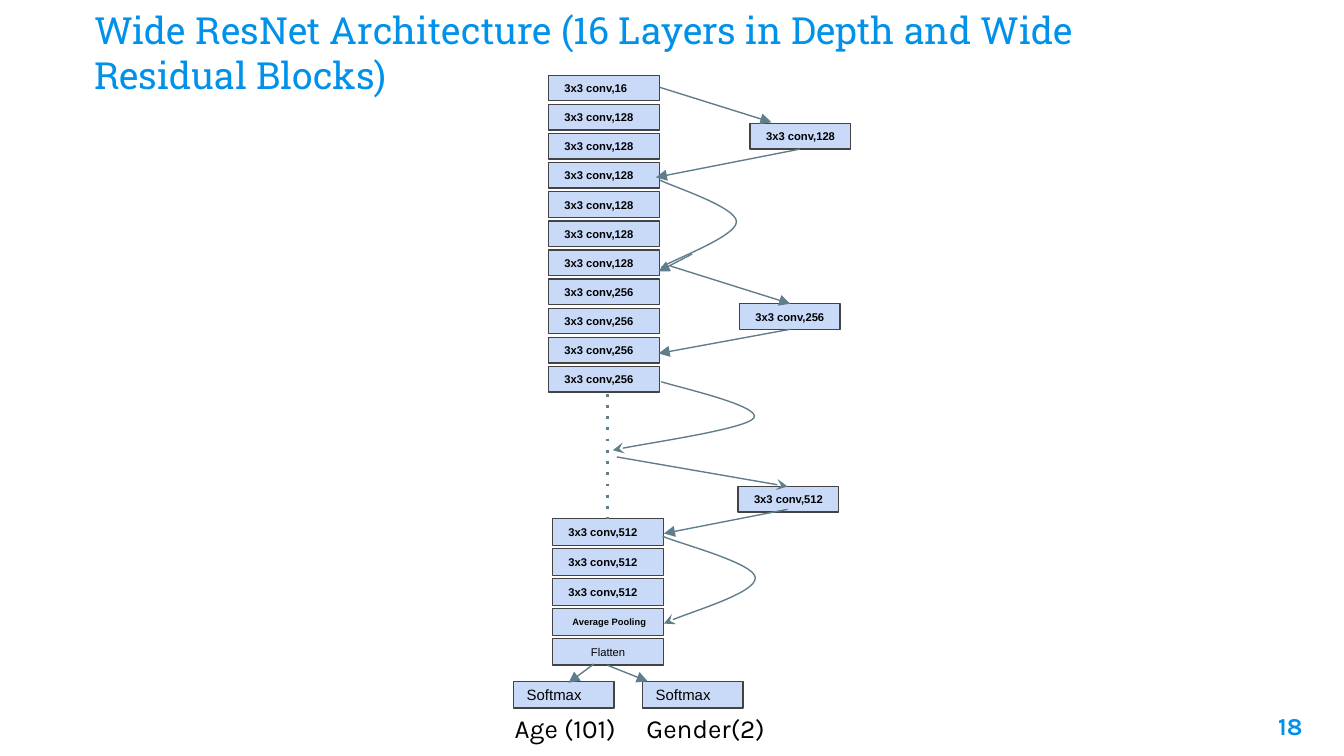
from lxml.etree import SubElement
from pptx import Presentation
from pptx.dml.color import RGBColor
from pptx.enum.shapes import MSO_CONNECTOR, MSO_SHAPE
from pptx.enum.text import MSO_ANCHOR, MSO_AUTO_SIZE, PP_ALIGN
from pptx.oxml.ns import qn
from pptx.util import Inches, Pt

COLORS = {"accent": "0091EA", "box": "C9DAF8", "border": "434343",
          "arrow": "607D8B", "text": "000000"}

# Content
TITLE = "Wide ResNet Architecture (16 Layers in Depth and Wide Residual Blocks)"
PAGE_NUMBER = "18"
UPPER_LAYERS = [16] + [128] * 6 + [256] * 4
LOWER_LAYERS = [512] * 3
SHORTCUT_LAYERS = [(5.58, 0.92, 128), (5.5, 2.26, 256), (5.49, 3.62, 512)]
SOFTMAX_LEFTS = [3.82, 4.78]
OUTPUTS = "Age (101)\tGender(2)"

# Straight arrows: from, to, arrowhead
ARROWS = [
    ((4.91, 0.65), (5.74, 0.91), "triangle"),
    ((5.95, 1.11), (4.88, 1.32), "triangle"),
    ((5.15, 1.89), (4.9, 2.02), "triangle"),
    ((4.99, 1.98), (5.88, 2.26), "triangle"),
    ((5.88, 2.45), (4.9, 2.63), "triangle"),
    ((4.59, 3.4), (5.86, 3.62), "stealth"),
    ((5.86, 3.79), (4.94, 3.97), "triangle"),
    ((4.42, 4.94), (4.23, 5.08), "triangle"),
    ((4.52, 4.95), (4.82, 5.07), "triangle"),
]
# Curved skips: start, then two control points and an end per Bezier; arrowhead
CURVES = [
    ([(4.91, 1.34), (5.01, 1.39), (5.48, 1.54), (5.48, 1.65),
      (5.48, 1.76), (5.01, 1.93), (4.92, 1.99)], None),
    ([(4.92, 2.84), (5.04, 2.88), (5.67, 3.02), (5.61, 3.11),
      (5.55, 3.19), (4.73, 3.31), (4.56, 3.35)], "stealth"),
    ([(4.93, 3.99), (5.04, 4.04), (5.62, 4.19), (5.62, 4.3),
      (5.62, 4.41), (5.05, 4.58), (4.94, 4.64)], "stealth"),
]

# Widescreen page, 16:9
presentation = Presentation()
presentation.slide_width = Inches(10)
presentation.slide_height = Inches(10 * 9 / 16)
slide = presentation.slides.add_slide(presentation.slide_layouts[5])
shapes = slide.shapes


def rgb(name):
    return RGBColor.from_string(COLORS[name])


def write(shape, text, size, font="Arial", color="text", bold=False,
          align=PP_ALIGN.LEFT, anchor=MSO_ANCHOR.MIDDLE, left_inset=0.1, tab=None):
    frame = shape.text_frame
    frame.word_wrap = True
    frame.auto_size = MSO_AUTO_SIZE.NONE
    frame.vertical_anchor = anchor
    frame.margin_left = Inches(left_inset)
    frame.margin_top = frame.margin_right = frame.margin_bottom = Inches(0.1)
    paragraph = frame.paragraphs[0]
    paragraph.text = text
    paragraph.alignment = align
    if tab:
        tabs = SubElement(paragraph._p.get_or_add_pPr(), qn("a:tabLst"))
        SubElement(tabs, qn("a:tab"), pos=str(Inches(tab)), algn="l")
    paragraph.font.name = font
    paragraph.font.size = Pt(size)
    paragraph.font.bold = bold
    paragraph.font.color.rgb = rgb(color)


def add_box(left, top, width, height, text, size=6, **style):
    shape = shapes.add_shape(MSO_SHAPE.RECTANGLE, Inches(left), Inches(top),
                             Inches(width), Inches(height))
    shape.shadow.inherit = False
    shape.fill.solid()
    shape.fill.fore_color.rgb = rgb("box")
    shape.line.color.rgb = rgb("border")
    shape.line.width = Pt(0.75)
    write(shape, text, size, **style)


def add_layer(left, top, width, height, filters):
    add_box(left, top, width, height, f"3x3 conv,{filters}", bold=True, left_inset=0.12)


def style_line(shape, head=None, width=0.75, dash=None):
    shape.line.color.rgb = rgb("arrow")
    shape.line.width = Pt(width)
    line = shape.element.spPr.find(qn("a:ln"))
    if dash:
        SubElement(line, qn("a:prstDash"), val=dash)
    if head:
        SubElement(line, qn("a:tailEnd"), type=head)


def add_line(start, end, **style):
    connector = shapes.add_connector(MSO_CONNECTOR.STRAIGHT,
                                     *(Inches(value) for value in start + end))
    style_line(connector, **style)
    SubElement(connector.element.spPr, qn("a:effectLst"))


def add_curve(points, head):
    start, *others = [(Inches(x), Inches(y)) for x, y in points]
    builder = shapes.build_freeform(*start)
    builder.add_line_segments(others, close=False)
    shape = builder.convert_to_shape()
    shape.shadow.inherit = False
    shape.fill.background()
    style_line(shape, head)
    # Turn each three line segments into one cubic Bezier
    segments = list(shape.element.iter(qn("a:lnTo")))
    for index in range(0, len(segments), 3):
        bezier = SubElement(segments[index].getparent(), qn("a:cubicBezTo"))
        for segment in segments[index:index + 3]:
            bezier.append(segment[0])
            segment.getparent().remove(segment)


def add_text(left, top, width, height, text, size, **style):
    box = shapes.add_textbox(Inches(left), Inches(top), Inches(width), Inches(height))
    write(box, text, size, font="Karla", anchor=MSO_ANCHOR.TOP, **style)


# Title
title = shapes.title
title.left, title.top = Inches(0.6), Inches(0.05)
title.width, title.height = Inches(8.28), Inches(0.77)
write(title, TITLE, 20, font="Roboto Slab", color="accent", anchor=MSO_ANCHOR.BOTTOM)

# Main column and shortcut convolutions
for row, filters in enumerate(UPPER_LAYERS):
    add_layer(4.08, 0.56 + 0.65 / 3 * row, 0.83, 0.19, filters)
lower_tops = [3.86 + 0.89 / 4 * row for row in range(5)]
for top, filters in zip(lower_tops, LOWER_LAYERS):
    add_layer(4.11, top, 0.83, 0.2, filters)
for left, top, filters in SHORTCUT_LAYERS:
    add_layer(left, top, 0.75, 0.19, filters)

# Pooling, flatten and the two outputs
add_box(4.11, lower_tops[3], 0.83, 0.2, "Average Pooling", size=5, bold=True,
        left_inset=0.15)
add_box(4.11, lower_tops[4], 0.83, 0.2, "Flatten", align=PP_ALIGN.CENTER)
for left in SOFTMAX_LEFTS:
    add_box(left, 5.07, 0.75, 0.2, "Softmax", size=8)
add_text(3.64, 5.2, 2.36, 0.37, OUTPUTS, 14, left_inset=0.19, tab=0.98)

# Connections
add_line((4.52, 2.93), (4.52, 3.86), width=1.5, dash="dot")
for start, end, head in ARROWS:
    add_line(start, end, head=head)
for points, head in CURVES:
    add_curve(points, head)

# Page number
add_text(9.19, 5.19, 0.6, 0.43, PAGE_NUMBER, 13, color="accent", bold=True,
         align=PP_ALIGN.RIGHT)

presentation.save("out.pptx")
